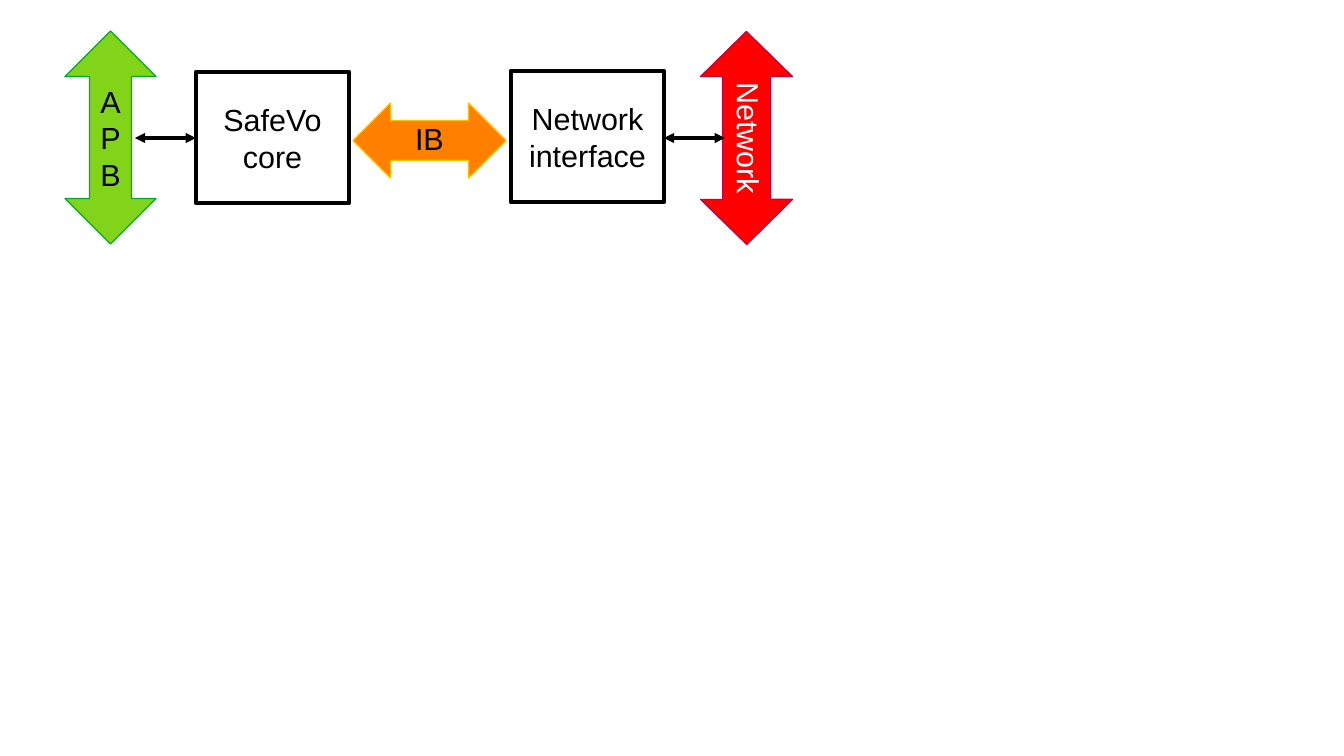
from pptx import Presentation
from pptx.dml.color import RGBColor
from pptx.enum.shapes import MSO_CONNECTOR, MSO_SHAPE as SHAPE
from pptx.enum.text import MSO_ANCHOR, PP_ALIGN
from pptx.oxml.ns import qn
from pptx.util import Pt
from lxml.etree import SubElement

EMU_PER_PX = 914400 / 122
BLACK, WHITE = "000000", "FFFFFF"
BLOCK_SIZE = (153, 131)
BLOCK_INSETS = (15, 9, 15, 9)
ARROW_INSETS = (12, 1, 12, 6)
BUS_INSETS = (2, 6, 2, 6)
LINK_Y = 138


def px(n):
    return round(n * EMU_PER_PX)


def rgb(color):
    return RGBColor.from_string(color)


def set_text(sp, text, color, insets):
    tf = sp.text_frame
    tf.word_wrap = True
    tf.vertical_anchor = MSO_ANCHOR.MIDDLE
    tf.margin_left, tf.margin_top, tf.margin_right, tf.margin_bottom = map(px, insets)
    tf.text = text
    for p in tf.paragraphs:
        p.alignment = PP_ALIGN.CENTER
        for r in p.runs:
            r.font.name = "Arial"
            r.font.size = Pt(18)
            r.font.color.rgb = rgb(color)


def add_shape(slide, kind, box, fill, line, width, text, color, insets):
    sp = slide.shapes.add_shape(kind, *map(px, box))
    sp.shadow.inherit = False
    sp.fill.solid()
    sp.fill.fore_color.rgb = rgb(fill)
    sp.line.color.rgb = rgb(line)
    sp.line.width = Pt(width)
    set_text(sp, text, color, insets)
    return sp


def add_block(slide, x, y, text):
    add_shape(slide, SHAPE.RECTANGLE, (x, y, *BLOCK_SIZE), WHITE, BLACK, 2.83,
              text, BLACK, BLOCK_INSETS)


def add_arrow(slide, kind, box, adjustments, fill, line, text,
              color=BLACK, insets=ARROW_INSETS, rotation=0):
    sp = add_shape(slide, kind, box, fill, line, 0, text, color, insets)
    for i, value in enumerate(adjustments):
        sp.adjustments[i] = value
    sp.rotation = rotation


def add_link(slide, x1, x2):
    cxn = slide.shapes.add_connector(
        MSO_CONNECTOR.STRAIGHT, px(x1), px(LINK_Y), px(x2), px(LINK_Y))
    cxn.line.color.rgb = rgb(BLACK)
    cxn.line.width = Pt(0)
    ln = cxn.line._get_or_add_ln()
    for end in ("a:headEnd", "a:tailEnd"):
        SubElement(ln, qn(end), type="triangle")
    SubElement(cxn._element.spPr, qn("a:effectLst"))


def main():
    prs = Presentation()
    prs.slide_width, prs.slide_height = px(1344), px(756)
    slide = prs.slides.add_slide(prs.slide_layouts[6])

    add_block(slide, 196, 72, "SafeVo core")
    add_block(slide, 511, 71, "Network interface")
    add_arrow(slide, SHAPE.LEFT_RIGHT_ARROW, (353, 103, 153, 75), (0.53, 0.5),
              "FF8000", "FFBF00", "IB")
    add_arrow(slide, SHAPE.LEFT_RIGHT_ARROW, (640, 92, 213, 92), (0.52, 0.49),
              "FF0000", "BF0041", "Network", color=WHITE, rotation=89.9)
    add_arrow(slide, SHAPE.UP_DOWN_ARROW, (65, 31, 91, 213), (0.5, 0.46),
              "81D41A", "00A933", "A\nP\nB", insets=BUS_INSETS)
    add_link(slide, 135, 196)
    add_link(slide, 664, 725)

    prs.save("out.pptx")


if __name__ == "__main__":
    main()
